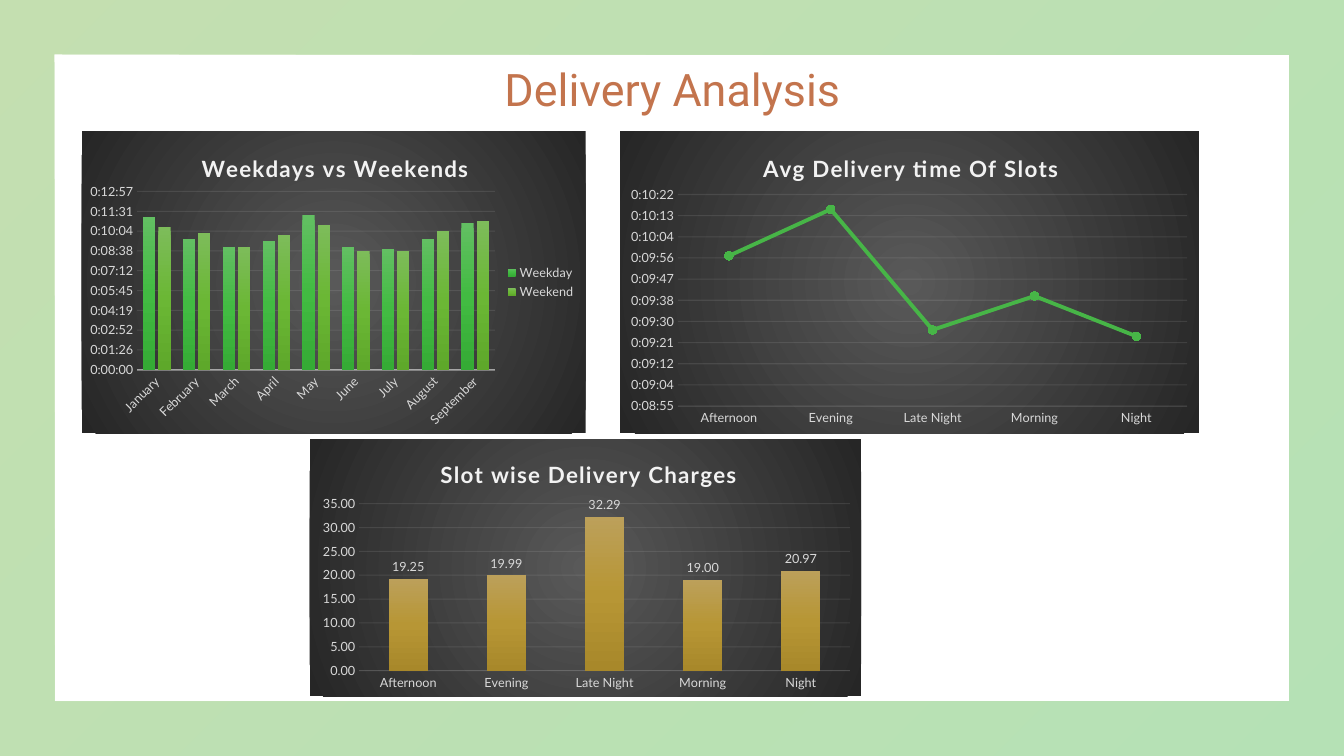
from lxml.etree import SubElement
from pptx import Presentation
from pptx.chart.data import CategoryChartData
from pptx.dml.color import RGBColor
from pptx.enum.chart import (XL_CHART_TYPE, XL_LABEL_POSITION, XL_LEGEND_POSITION,
                             XL_MARKER_STYLE, XL_TICK_MARK)
from pptx.enum.shapes import MSO_SHAPE
from pptx.enum.text import MSO_ANCHOR, PP_ALIGN
from pptx.oxml import parse_xml
from pptx.oxml.ns import nsdecls, qn
from pptx.util import Inches, Pt

WIDTH, HEIGHT = 13.33, 7.5
PALE, GRID, GREEN = "D9D9D9", "F2F2F2", "47B547"
CHART_FONT = "Lato"
MONTHS = ["January", "February", "March", "April", "May", "June", "July",
          "August", "September"]
SLOTS = ["Afternoon", "Evening", "Late Night", "Morning", "Night"]
WEEKDAY = ("62BF62", "42BB42", "35AB35")
WEEKEND = ("7DBC5A", "6BB735", "5EA82A")
GOLD = ("BCA05A", "B79635", "A8882A")

CHARTS = [
    {
        "title": "Weekdays vs Weekends", "kind": XL_CHART_TYPE.COLUMN_CLUSTERED,
        "box": (0.81, 1.3, 5, 3), "categories": MONTHS, "format": "h:mm:ss;@",
        "series": {
            "Weekday": [0.0077, 0.0066, 0.0062, 0.0065, 0.0078, 0.0062, 0.0061, 0.0066, 0.0074],
            "Weekend": [0.0072, 0.0069, 0.0062, 0.0068, 0.0073, 0.006, 0.006, 0.007, 0.0075],
        },
        "colors": [WEEKDAY, WEEKEND], "scale": (0, 0.009, 0.001),
        "bars": {"gap_width": 100, "overlap": -24},
        "axis_line": (1, 54), "legend": True, "labels": False, "rotation": -45,
        "title_at": (0.23, 0.06), "plot": (0.11, 0.2, 0.71, 0.59),
    },
    {
        "title": "Avg Delivery time Of Slots", "kind": XL_CHART_TYPE.LINE_MARKERS,
        "box": (6.15, 1.3, 5.74, 3), "categories": SLOTS, "format": "h:mm:ss;@",
        "series": {"Series 1": [0.00691, 0.00713, 0.00656, 0.00672, 0.00653]},
        "colors": [], "scale": (0.0062, 0.0072, 0.0001), "bars": {},
        "axis_line": (0.75, 10), "legend": False, "labels": False, "rotation": 0,
        "title_at": (0.24, 0.06), "plot": (0.1, 0.21, 0.88, 0.7),
    },
    {
        "title": "Slot wise Delivery Charges", "kind": XL_CHART_TYPE.COLUMN_CLUSTERED,
        "box": (3.07, 4.36, 5.47, 2.55), "categories": SLOTS, "format": "0.00",
        "series": {"Series 1": [19.25, 19.99, 32.29, 19, 20.97]},
        "colors": [GOLD], "scale": (0, 35, 5), "bars": {"gap_width": 150},
        "axis_line": (0.75, 10), "legend": False, "labels": True, "rotation": 0,
        "title_at": (0.23, 0.06), "plot": (0.09, 0.25, 0.89, 0.65),
    },
]


def color(value):
    return RGBColor.from_string(value)


def assign(target, values):
    for name, value in values.items():
        setattr(target, name, value)


def style_font(font, size, tone, **values):
    assign(font, {"size": Pt(size), "name": CHART_FONT, **values})
    font.color.rgb = color(tone)


def gradient(colors, direction, alpha=100):
    step = 100000 // (len(colors) - 1)
    stops = "".join(
        f'<a:gs pos="{index * step}"><a:srgbClr val="{tone}">'
        f'<a:alpha val="{alpha * 1000}"/></a:srgbClr></a:gs>'
        for index, tone in enumerate(colors))
    return parse_xml(f'<a:gradFill {nsdecls("a")} rotWithShape="1">'
                     f'<a:gsLst>{stops}</a:gsLst>{direction}</a:gradFill>')


def linear(degrees):
    return f'<a:lin ang="{degrees * 60000}" scaled="0"/>'


def fill_gradient(fill, properties, filling):
    fill.solid()
    properties.replace(properties.find(qn("a:solidFill")), filling)


def draw_line(line, width, alpha):
    line.width = Pt(width)
    line.color.rgb = color(GRID)
    tone = line._get_or_add_ln().find(".//" + qn("a:srgbClr"))
    SubElement(tone, qn("a:alpha"), val=str(alpha * 1000))


def set_layout(element, shares, inner=False):
    for old in element.findall(qn("c:layout")):
        element.remove(old)
    target = '<c:layoutTarget val="inner"/>' if inner else ""
    modes = '<c:xMode val="edge"/><c:yMode val="edge"/>'
    sizes = "".join(f'<c:{name} val="{share}"/>' for name, share in zip("xywh", shares))
    layout = parse_xml(f'<c:layout {nsdecls("c")}><c:manualLayout>{target}{modes}{sizes}'
                       '</c:manualLayout></c:layout>')
    text = element.find(qn("c:tx"))
    if text is None:
        element.insert(0, layout)
    else:
        text.addnext(layout)


def style_axes(chart, content):
    category, value = chart.category_axis, chart.value_axis
    for axis in (category, value):
        assign(axis, {"major_tick_mark": XL_TICK_MARK.NONE,
                      "minor_tick_mark": XL_TICK_MARK.NONE})
        style_font(axis.tick_labels.font, 9, PALE)
    draw_line(category.format.line, *content["axis_line"])
    body = category._element.find(qn("c:txPr")).find(qn("a:bodyPr"))
    body.set("rot", str(content["rotation"] * 60000))
    low, high, step = content["scale"]
    assign(value, {"minimum_scale": low, "maximum_scale": high, "major_unit": step,
                   "has_major_gridlines": True})
    assign(value.tick_labels, {"number_format": content["format"],
                               "number_format_is_linked": False})
    value.format.line.fill.background()
    draw_line(value.major_gridlines.format.line, 0.75, 10)


def style_series(plot, content):
    plot.vary_by_categories = False
    assign(plot, content["bars"])
    for series, colors in zip(plot.series, content["colors"]):
        fill_gradient(series.format.fill, series._element.get_or_add_spPr(),
                      gradient(colors, linear(90)))
    if not content["colors"]:
        series = plot.series[0]
        series.smooth = False
        series.format.line.width = Pt(2.75)
        series.format.line.color.rgb = color(GREEN)
        assign(series.marker, {"style": XL_MARKER_STYLE.CIRCLE, "size": 6})
        series.marker.format.fill.solid()
        series.marker.format.fill.fore_color.rgb = color(WEEKDAY[1])
        series.marker.format.line.fill.background()
    if content["labels"]:
        labels = plot.series[0].data_labels
        assign(labels, {"show_value": True, "number_format": content["format"],
                        "number_format_is_linked": False,
                        "position": XL_LABEL_POSITION.OUTSIDE_END})
        style_font(labels.font, 9, PALE)


def add_chart(slide, content):
    data = CategoryChartData(number_format=content["format"])
    data.categories = content["categories"]
    for name, values in content["series"].items():
        data.add_series(name, values)
    box = [Inches(length) for length in content["box"]]
    chart = slide.shapes.add_chart(content["kind"], *box, data).chart
    style_font(chart.font, 10, "000000")

    area = parse_xml(f'<c:spPr {nsdecls("c", "a")}><a:ln><a:noFill/></a:ln></c:spPr>')
    circle = ('<a:path path="circle"><a:fillToRect l="50000" t="50000" r="50000" '
              'b="50000"/></a:path>')
    area.insert(0, gradient(("595959", "262626"), circle))
    chart._chartSpace.find(qn("c:chart")).addnext(area)

    chart.has_title = True
    chart.chart_title.text_frame.text = content["title"]
    run = chart.chart_title.text_frame.paragraphs[0].runs[0]
    style_font(run.font, 16, GRID, bold=True)
    run._r.get_or_add_rPr().set("spc", "100")
    set_layout(chart.chart_title._element, content["title_at"])
    set_layout(chart._chartSpace.chart.plotArea, content["plot"], inner=True)

    chart.has_legend = content["legend"]
    if content["legend"]:
        assign(chart.legend, {"position": XL_LEGEND_POSITION.RIGHT,
                              "include_in_layout": False})
        style_font(chart.legend.font, 9, PALE)
    style_axes(chart, content)
    style_series(chart.plots[0], content)


def main():
    presentation = Presentation()
    assign(presentation, {"slide_width": Inches(WIDTH), "slide_height": Inches(HEIGHT)})
    slide = presentation.slides.add_slide(presentation.slide_layouts[5])

    frame = slide.shapes.add_shape(MSO_SHAPE.FRAME, 0, 0, Inches(WIDTH), Inches(HEIGHT))
    frame.adjustments[0] = 0.072
    frame.shadow.inherit = False
    frame.line.fill.background()
    fill_gradient(frame.fill, frame._element.spPr,
                  gradient(("6CB13B", GREEN), linear(45), 40))
    slide.shapes._spTree.insert(2, frame._element)

    title = slide.shapes.title
    assign(title, {"left": Inches(0.92), "top": Inches(0.59),
                   "width": Inches(11.5), "height": Inches(0.64)})
    title.text_frame.text = "Delivery Analysis"
    title.text_frame.vertical_anchor = MSO_ANCHOR.MIDDLE
    paragraph = title.text_frame.paragraphs[0]
    assign(paragraph, {"alignment": PP_ALIGN.CENTER, "line_spacing": 0.9})
    style_font(paragraph.runs[0].font, 32, "C3744D", name="Roboto")

    for content in CHARTS:
        add_chart(slide, content)
    presentation.save("out.pptx")


if __name__ == "__main__":
    main()
